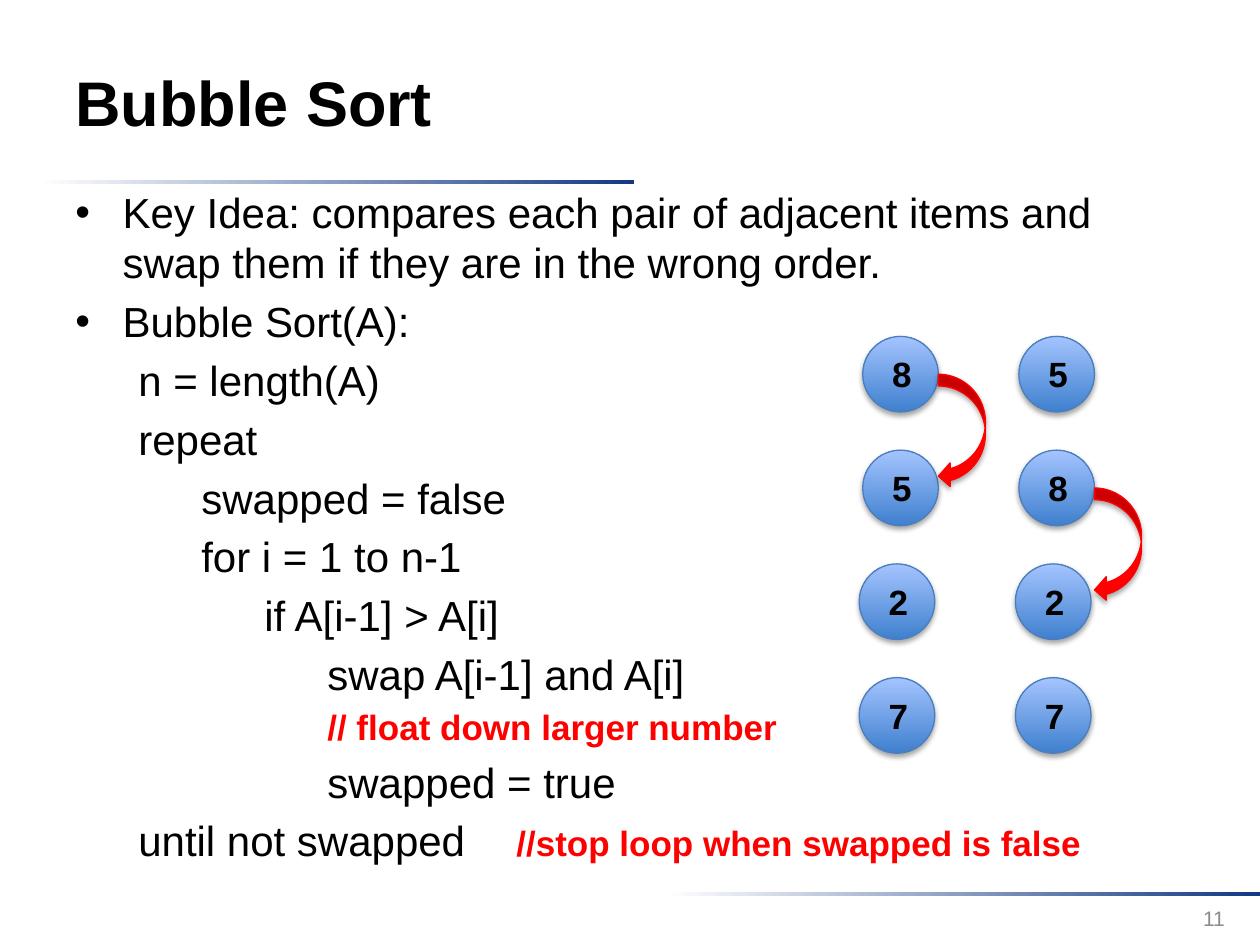
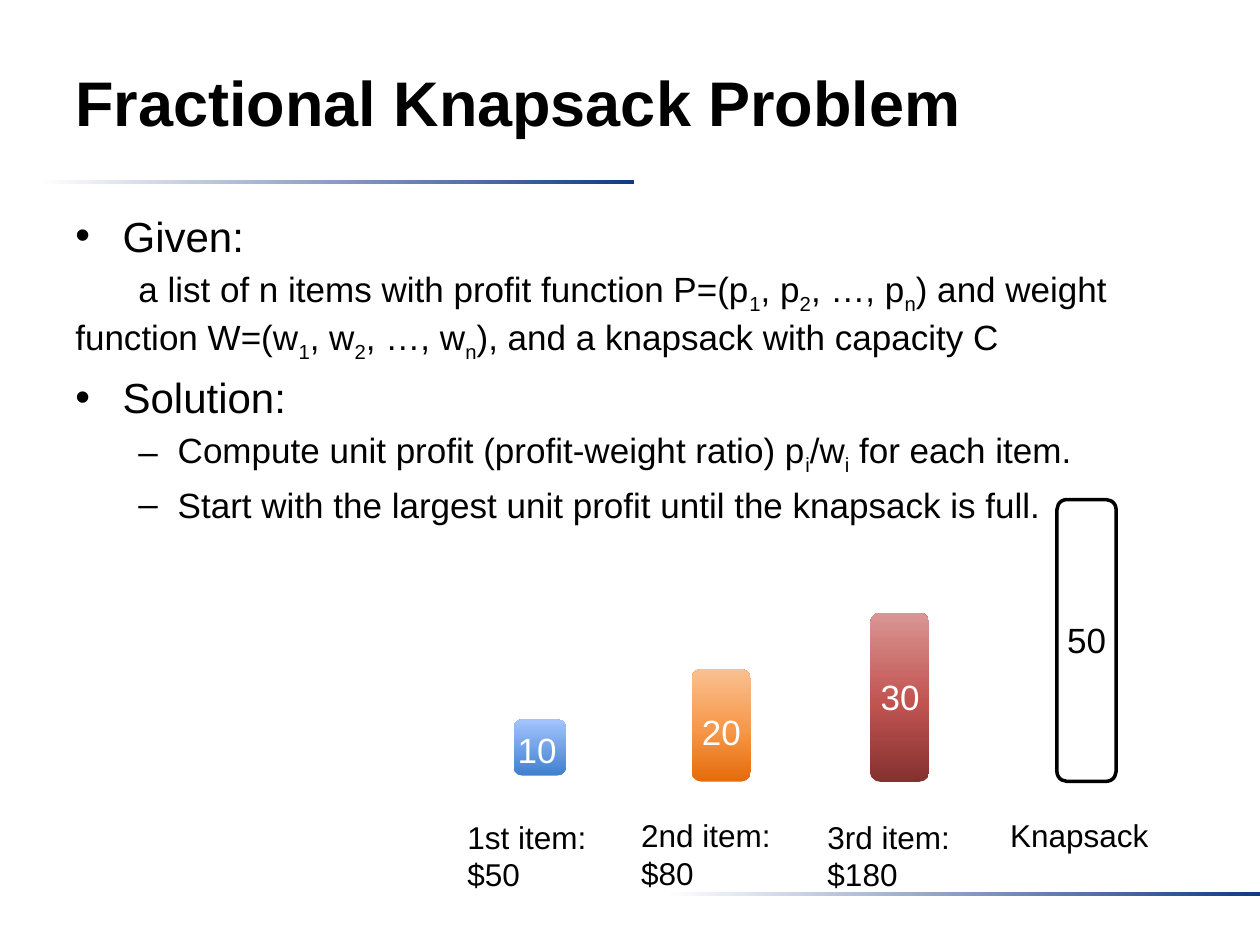
from lxml.etree import SubElement
from pptx import Presentation
from pptx.dml.color import RGBColor
from pptx.enum.shapes import MSO_SHAPE as SHAPE
from pptx.enum.text import MSO_ANCHOR as ANCHOR, PP_ALIGN as ALIGN
from pptx.oxml.ns import qn
from pptx.util import Pt

BLACK = RGBColor(0x00, 0x00, 0x00)
WHITE = RGBColor(0xFF, 0xFF, 0xFF)
RED = RGBColor(0xFF, 0x00, 0x00)
GREY = RGBColor(0x8C, 0x8C, 0x8C)
NAVY = RGBColor(0x13, 0x39, 0x84)
EDGE = RGBColor(0x4B, 0x7E, 0xBC)
# Gradients: (position in percent, colour)
FADE = [(0, WHITE), (100, NAVY)]
BLUES = [(0, RGBColor(0x3F, 0x80, 0xCE)), (100, RGBColor(0xA4, 0xC4, 0xFF))]
ORANGES = [(0, RGBColor(0xE4, 0x6C, 0x0A)), (48, RGBColor(0xF7, 0x99, 0x4C)),
           (100, RGBColor(0xFA, 0xC0, 0x90))]
REDS = [(0, RGBColor(0x85, 0x31, 0x2F)), (48, RGBColor(0xC2, 0x55, 0x52)),
        (100, RGBColor(0xD9, 0x96, 0x94))]


class Deck:
    """Shared style plus the slide being built."""

    font = "Arial"

    def __init__(self):
        """Open a 10 by 7.5 inch presentation."""
        self.prs = Presentation()
        self.prs.slide_width, self.prs.slide_height = Pt(720), Pt(540)

    def slide(self, title, number=None):
        """Start a slide with its two rules, title and optional number."""
        self.s = self.prs.slides.add_slide(self.prs.slide_layouts[6])
        for x, y in ((22.5, 103), (380, 510)):
            self.shape(SHAPE.RECTANGLE, x, y, 340, 2.2, FADE, angle=0)
        tf = self.box(36, 13, 556.5, 90, anchor=ANCHOR.MIDDLE)
        self.run(tf.paragraphs[0], title, 36, bold=True)
        if number:
            self.label(number, 539.5, 510.5, 167.5, 28.8, 12, GREY,
                       align=ALIGN.RIGHT, anchor=ANCHOR.MIDDLE)

    def shape(self, kind, x, y, w, h, fill=None, line=None, weight=0.75,
              angle=90, shadow=False):
        """Add a preset shape with a plain, gradient or empty fill."""
        sp = self.s.shapes.add_shape(kind, Pt(x), Pt(y), Pt(w), Pt(h))
        if fill is None:
            sp.fill.background()
        elif isinstance(fill, list):
            self.gradient(sp, fill, angle)
        else:
            sp.fill.solid()
            sp.fill.fore_color.rgb = fill
        if line is None:
            sp.line.fill.background()
        else:
            sp.line.color.rgb, sp.line.width = line, Pt(weight)
        sp.shadow.inherit = False
        if shadow:
            self.drop_shadow(sp)

    def gradient(self, sp, stops, angle):
        """Fill a shape with any number of gradient stops."""
        sp.fill.gradient()
        sp.fill.gradient_angle = angle
        stop_list = sp.element.spPr.find(".//" + qn("a:gsLst"))
        for old in list(stop_list):
            stop_list.remove(old)
        for pos, color in stops:
            gs = SubElement(stop_list, qn("a:gs"), pos=str(pos * 1000))
            SubElement(gs, qn("a:srgbClr"), val=str(color))

    def drop_shadow(self, sp):
        """Put a soft shadow below a shape."""
        effects = sp.element.spPr.find(qn("a:effectLst"))
        outer = SubElement(effects, qn("a:outerShdw"), blurRad=str(Pt(3.1)),
                           dist=str(Pt(1.8)), dir="5400000", rotWithShape="0")
        color = SubElement(outer, qn("a:srgbClr"), val=str(BLACK))
        SubElement(color, qn("a:alpha"), val="35000")

    def box(self, x, y, w, h, wrap=True, anchor=ANCHOR.TOP):
        """Add an empty text box and return its text frame."""
        tf = self.s.shapes.add_textbox(Pt(x), Pt(y), Pt(w), Pt(h)).text_frame
        tf.word_wrap, tf.vertical_anchor = wrap, anchor
        return tf

    def run(self, p, text, size, color=BLACK, bold=False, sub=False):
        """Append one run to a paragraph."""
        r = p.add_run()
        r.text = text
        r.font.name, r.font.size = self.font, Pt(size)
        r.font.bold, r.font.color.rgb = bold, color
        if sub:
            r.font._element.set("baseline", "-25000")

    def label(self, text, x, y, w, h, size, color=BLACK, bold=False,
              align=ALIGN.LEFT, wrap=True, anchor=ANCHOR.TOP):
        """Add a small text box, one paragraph for each line."""
        tf = self.box(x, y, w, h, wrap, anchor)
        for i, line in enumerate(text.split("\n")):
            p = tf.add_paragraph() if i else tf.paragraphs[0]
            p.alignment = align
            self.run(p, line, size, color, bold)

    def para(self, tf, margin=0, indent=0, bullet=None, tab=None):
        """Add a body paragraph with its spacing, indents and bullet."""
        first = tf.paragraphs[0]
        p = tf.add_paragraph() if first.runs else first
        pPr = p._p.get_or_add_pPr()
        pPr.set("marL", str(Pt(margin)))
        pPr.set("indent", str(Pt(indent)))
        before = SubElement(pPr, qn("a:spcBef"))
        SubElement(before, qn("a:spcPct"), val="20000")
        if bullet:
            SubElement(pPr, qn("a:buFont"), typeface=self.font)
            SubElement(pPr, qn("a:buChar"), char=bullet)
        else:
            SubElement(pPr, qn("a:buNone"))
        if tab:
            tabs = SubElement(pPr, qn("a:tabLst"))
            SubElement(tabs, qn("a:tab"), pos=str(Pt(tab)), algn="l")
        return p

    def point(self, tf, text):
        """Add a main bullet point."""
        self.run(self.para(tf, 27, -27, "\u2022"), text, 24)

    def math(self, p, text):
        """Add runs in which every second part between bars is a subscript."""
        for i, part in enumerate(text.split("|")):
            self.run(p, part, 20, sub=i % 2 == 1)

    def code(self, tf, level, text, comment=None):
        """Add a pseudocode line with an optional red comment."""
        p = self.para(tf, 0, 36 * level, tab=242.5 if text and comment else None)
        if text:
            self.run(p, text + ("\t" if comment else ""), 24)
        if comment:
            self.run(p, comment, 20, RED, bold=True)

    def ball(self, x, y, digit):
        """Add a numbered blue circle."""
        self.shape(SHAPE.OVAL, x, y, 43.2, 43.2, BLUES, EDGE, shadow=True)
        self.label(digit, x + 9.7, y + 5.8, 23.8, 31.7, 20, bold=True,
                   align=ALIGN.CENTER)

    def bar(self, x, w, bottom, weight, fill, color, line=None):
        """Add a rounded bar as tall as its weight."""
        h = 3.22 * weight
        self.shape(SHAPE.ROUNDED_RECTANGLE, x, bottom - h, w, h, fill, line, 2)


def bubble_sort(deck):
    """Build the sorting slide: pseudocode and two passes of swaps."""
    deck.slide("Bubble Sort", "11")
    tf = deck.box(36, 103, 648, 411)
    deck.point(tf, "Key Idea: compares each pair of adjacent items and "
                   "swap\u00a0them if they are in the wrong order.")
    deck.point(tf, "Bubble Sort(A):")
    for line in ((1, "n = length(A)"),
                 (1, "repeat"),
                 (2, "swapped = false"),
                 (2, "for i = 1 to n-1"),
                 (3, "if A[i-1] > A[i]"),
                 (4, "swap A[i-1] and A[i]"),
                 (4, "", "// float down larger number"),
                 (4, "swapped = true"),
                 (1, "until not swapped", "//stop loop when swapped is false")):
        deck.code(tf, *line)

    left, top, column, row = 493, 192.25, 89.25, 65
    for i, digits in enumerate(("8527", "5827")):
        x = left + i * column
        for j, digit in enumerate(digits):
            deck.ball(x - (2 if j > 1 else 0), top + j * row, digit)
    for i in range(2):
        deck.shape(SHAPE.CURVED_LEFT_ARROW, left + 43.2 + i * column,
                   top + 21.6 + i * row, 26.9, 65, RED, RED, shadow=True)


def knapsack(deck):
    """Build the knapsack slide: text above, weights drawn as bars."""
    deck.slide("Fractional Knapsack Problem")
    tf = deck.box(36, 116.5, 648, 187)
    deck.point(tf, "Given:")
    deck.math(deck.para(tf, 0, 36),
              "a list of n items with profit function P=(p|1|, p|2|, \u2026, p|n|) "
              "and weight function W=(w|1|, w|2|, \u2026, w|n|), "
              "and a knapsack with capacity C")
    deck.point(tf, "Solution:")
    for text in ("Compute unit profit (profit-weight ratio) p|i|/w|i| for each item.",
                 "Start with the largest unit profit until the knapsack is full."):
        deck.math(deck.para(tf, 58.5, -22.5, "\u2013"), text)

    # bar left, width, bottom, weight, fill, text colour, outline;
    # then number left and top, label, label left and top
    for bar, nx, ny, text, tx, ty in (
            ((293.5, 30, 443.25, 10, BLUES, WHITE), 288.5, 412.5,
             "1st item:\n$50", 260, 463.7),
            ((395.25, 33.8, 446.75, 20, ORANGES, WHITE), 393.8, 402.5,
             "2nd item:\n$80", 359.3, 463),
            ((497.25, 33.8, 446.75, 30, REDS, WHITE), 496, 382.3,
             "3rd item:\n$180", 465.8, 463.7),
            ((604, 33.8, 446.5, 50, None, BLACK, BLACK), 602.5, 350,
             "Knapsack", 570.2, 463)):
        deck.bar(*bar)
        deck.label(str(bar[3]), nx, ny, 36.7, 24, 20, bar[5],
                   align=ALIGN.CENTER, wrap=False)
        deck.label(text, tx, ty, 105, 51, 18)


deck = Deck()
bubble_sort(deck)
knapsack(deck)
deck.prs.save("out.pptx")
